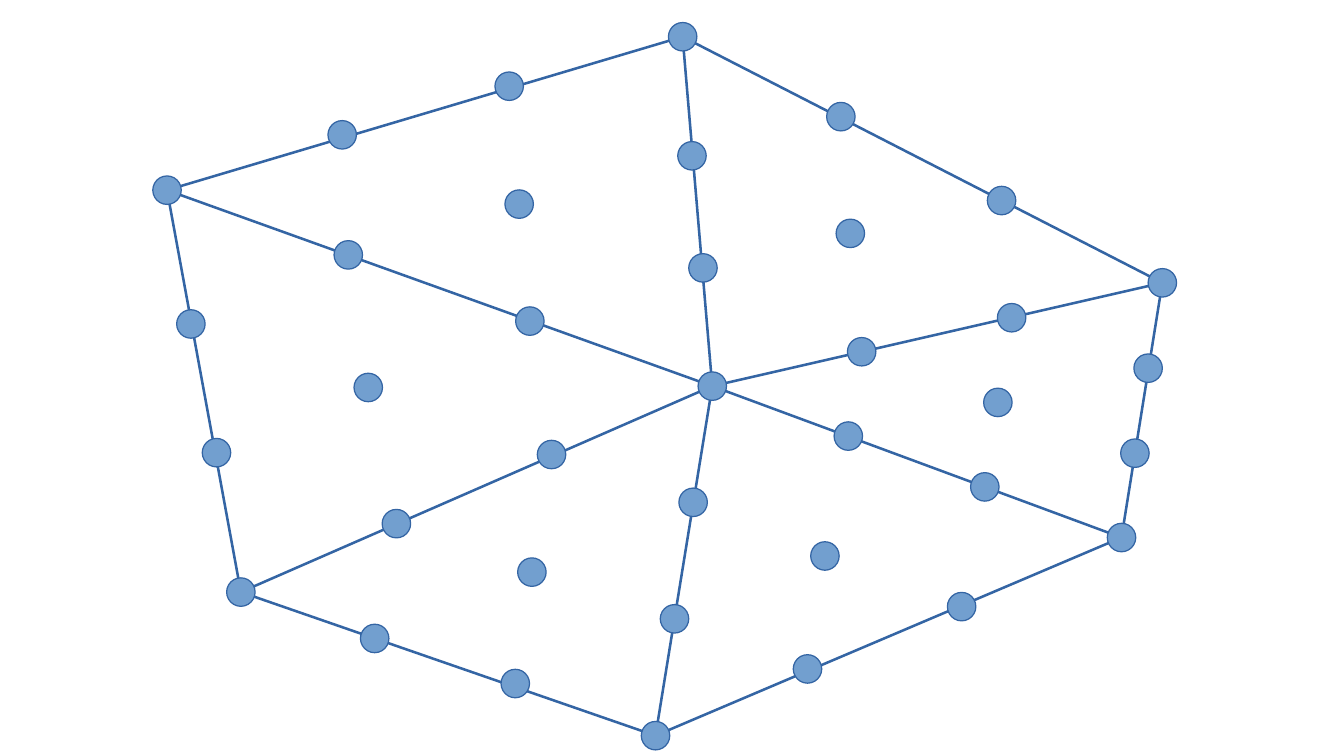
import pptx
import pptx.dml.color
import pptx.enum.shapes
import pptx.oxml.ns
import pptx.util
from lxml import etree

Pt = pptx.util.Pt

LINE_COLOR = "3465A4"
DOT_COLOR = "729FCF"
DOT_SIZE = 16.8

# Corners of the net and its hub, as centres in points
NODES = {
    "top": (403, 21.7),
    "right": (686.2, 167),
    "lower right": (662.1, 317.4),
    "bottom": (387, 434.4),
    "lower left": (142.2, 349.6),
    "left": (98.6, 112.3),
    "hub": (420.5, 228),
}

# Each side joins two nodes and carries two control points
SIDES = [
    ("top", "right", (496.4, 68.9), (591.3, 118.4)),
    ("right", "lower right", (677.8, 217.4), (670, 267.6)),
    ("lower right", "bottom", (567.7, 358.2), (476.7, 395)),
    ("bottom", "lower left", (304.2, 403.6), (221.2, 377)),
    ("lower left", "left", (127.8, 267.3), (112.7, 191.3)),
    ("left", "top", (202, 79.6), (300.6, 50.9)),
    ("top", "hub", (408.5, 92), (415, 158.2)),
    ("right", "hub", (597.2, 187.6), (508.7, 207.7)),
    ("lower right", "hub", (581.4, 287.5), (500.8, 257.5)),
    ("bottom", "hub", (398.2, 365.4), (409.2, 296.6)),
    ("lower left", "hub", (234, 309.2), (325.6, 268.4)),
    ("left", "hub", (205.6, 150.5), (312.8, 189.6)),
]

# The middle control point of each triangle, clockwise from the upper left
INNER_POINTS = [
    (306.5, 120.5),
    (502, 137.8),
    (589.1, 237.6),
    (487, 328.3),
    (314, 337.8),
    (217.4, 228.8),
]


def color(hex_code):
    return pptx.dml.color.RGBColor.from_string(hex_code)


def add_side(slide, start, end):
    connector = slide.shapes.add_connector(
        pptx.enum.shapes.MSO_CONNECTOR.STRAIGHT,
        *(Pt(value) for value in (*start, *end)),
    )
    connector.line.color.rgb = color(LINE_COLOR)
    connector.line.width = Pt(1.5)
    etree.SubElement(connector._element.spPr, pptx.oxml.ns.qn("a:effectLst"))


def add_dot(slide, center):
    x, y = center
    dot = slide.shapes.add_shape(
        pptx.enum.shapes.MSO_SHAPE.OVAL,
        Pt(x - DOT_SIZE / 2), Pt(y - DOT_SIZE / 2), Pt(DOT_SIZE), Pt(DOT_SIZE),
    )
    dot.shadow.inherit = False
    dot.fill.solid()
    dot.fill.fore_color.rgb = color(DOT_COLOR)
    dot.line.color.rgb = color(LINE_COLOR)
    dot.line.width = Pt(0)


def main():
    presentation = pptx.Presentation()
    presentation.slide_width = Pt(793.44)
    presentation.slide_height = Pt(446.4)
    slide = presentation.slides.add_slide(presentation.slide_layouts[6])

    for start, end, *_ in SIDES:
        add_side(slide, NODES[start], NODES[end])

    side_points = [point for _, _, *points in SIDES for point in points]
    for center in [*side_points, *INNER_POINTS, *NODES.values()]:
        add_dot(slide, center)

    presentation.save("out.pptx")


if __name__ == "__main__":
    main()
